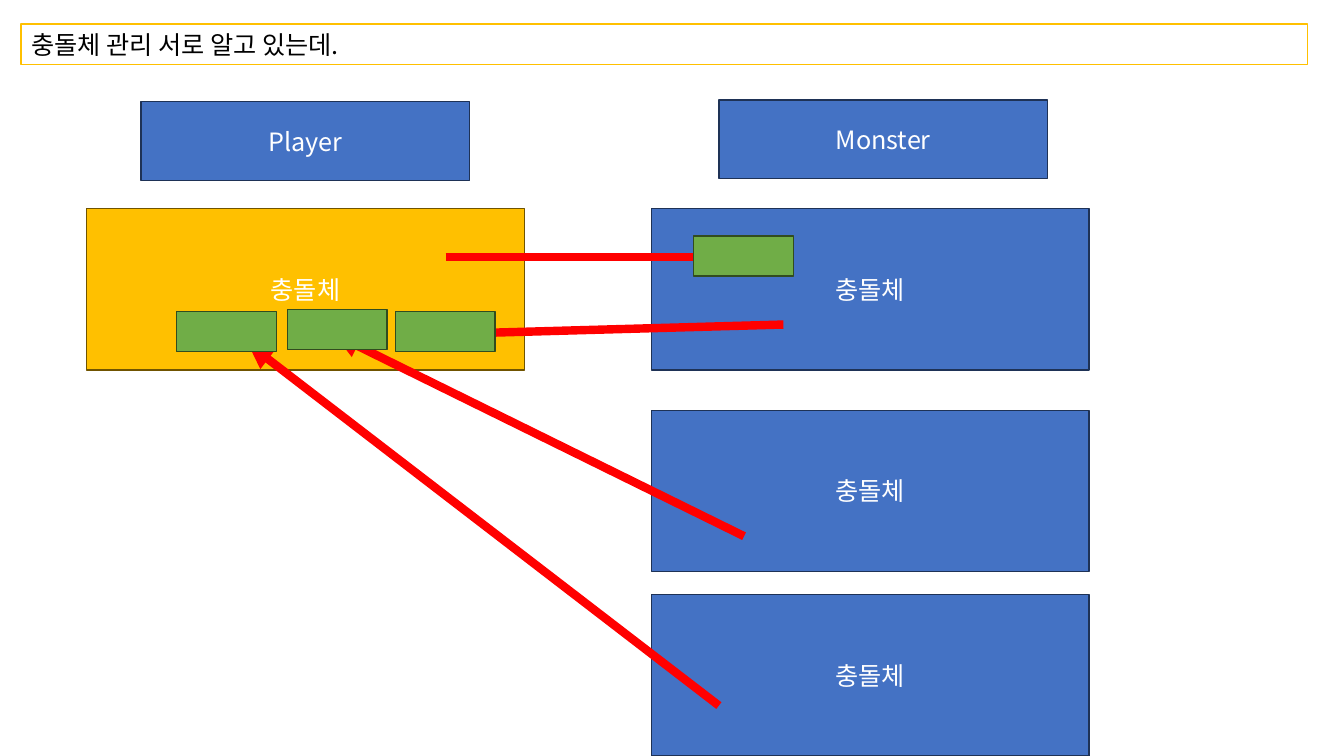
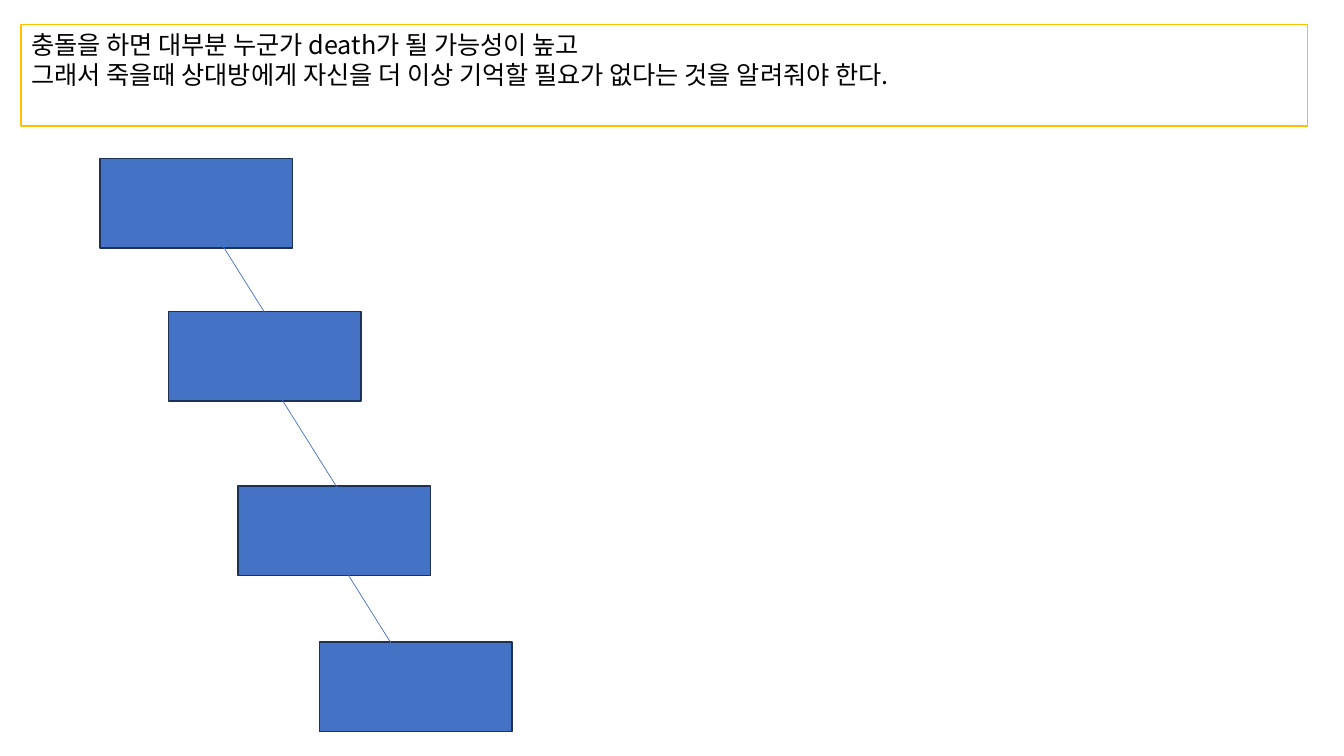
"""Builds two slides on how colliding objects keep track of each other."""
import pptx
import pptx.dml.color
import pptx.enum.shapes
import pptx.enum.text
import pptx.oxml.ns
import pptx.util
from lxml import etree

Inches = pptx.util.Inches
Pt = pptx.util.Pt
RGBColor = pptx.dml.color.RGBColor
PP_ALIGN = pptx.enum.text.PP_ALIGN
MSO_ANCHOR = pptx.enum.text.MSO_ANCHOR
qn = pptx.oxml.ns.qn

FONT = "Noto Sans CJK KR"
WHITE = RGBColor(0xFF, 0xFF, 0xFF)
BLACK = RGBColor(0x00, 0x00, 0x00)
RED = RGBColor(0xFF, 0x00, 0x00)
BLUE = RGBColor(0x44, 0x72, 0xC4)
NAVY = RGBColor(0x1E, 0x32, 0x56)
GOLD = RGBColor(0xFF, 0xC0, 0x00)
BROWN = RGBColor(0x70, 0x54, 0x00)
GREEN = RGBColor(0x70, 0xAD, 0x47)
DARK_GREEN = RGBColor(0x31, 0x4C, 0x1F)

BLUE_STYLE = (BLUE, NAVY, WHITE, PP_ALIGN.CENTER, MSO_ANCHOR.MIDDLE)
GOLD_STYLE = (GOLD, BROWN, WHITE, PP_ALIGN.CENTER, MSO_ANCHOR.MIDDLE)
GREEN_STYLE = (GREEN, DARK_GREEN, WHITE, PP_ALIGN.CENTER, MSO_ANCHOR.MIDDLE)
TITLE_STYLE = (WHITE, GOLD, BLACK, PP_ALIGN.LEFT, MSO_ANCHOR.TOP)

COLLIDER_SIZE = (4.34, 1.6)
HEADING_SIZE = (3.26, 0.78)
MARKER_SIZE = (0.99, 0.4)
NODE_SIZE = (1.91, 0.89)


def add_box(page, position, size, style, text=""):
    fill, outline, font_color, alignment, anchor = style
    box = page.shapes.add_shape(
        pptx.enum.shapes.MSO_SHAPE.RECTANGLE, *map(Inches, position + size))
    box.shadow.inherit = False
    box.fill.solid()
    box.fill.fore_color.rgb = fill
    box.line.color.rgb = outline
    box.line.width = Pt(1)
    if text:
        box.text_frame.text = text
        box.text_frame.word_wrap = True
        box.text_frame.vertical_anchor = anchor
        for para in box.text_frame.paragraphs:
            para.alignment = alignment
            for span in para.runs:
                span.font.size = Pt(18)
                span.font.name = FONT
                span.font.color.rgb = font_color
                east_asian = etree.SubElement(span.font._element, qn("a:ea"))
                east_asian.set("typeface", FONT)


def add_arrow(page, start, end, color, width):
    arrow = page.shapes.add_connector(
        pptx.enum.shapes.MSO_CONNECTOR.STRAIGHT, *map(Inches, start + end))
    arrow.line.color.rgb = color
    arrow.line.width = Pt(width)
    etree.SubElement(arrow.line._get_or_add_ln(), qn("a:tailEnd")).set("type", "triangle")
    etree.SubElement(arrow._element.spPr, qn("a:effectLst"))


deck = pptx.Presentation()
deck.slide_width = Inches(13.33)
deck.slide_height = Inches(7.5)

titles = [
    ("충돌체 관리 서로 알고 있는데.", 0.4),
    ("충돌을 하면 대부분 누군가 death가 될 가능성이 높고\n"
     "그래서 죽을때 상대방에게 자신을 더 이상 기억할 필요가 없다는 것을 알려줘야 한다.", 1.01),
]
pages = []
for title, height in titles:
    page = deck.slides.add_slide(deck.slide_layouts[6])
    add_box(page, (0.21, 0.24), (12.76, height), TITLE_STYLE, title)
    pages.append(page)
collider_page, chain_page = pages

add_box(collider_page, (1.4, 1.01), HEADING_SIZE, BLUE_STYLE, "Player")
add_box(collider_page, (7.13, 0.99), HEADING_SIZE, BLUE_STYLE, "Monster")
add_box(collider_page, (0.86, 2.07), COLLIDER_SIZE, GOLD_STYLE, "충돌체")
for top in (2.07, 4.07, 5.9):
    add_box(collider_page, (6.46, top), COLLIDER_SIZE, BLUE_STYLE, "충돌체")

references = [
    ((7.77, 3.22), (4.19, 3.32)),
    ((7.38, 5.32), (3.32, 3.32)),
    ((7.13, 7), (2.46, 3.41)),
    ((4.42, 2.55), (7.54, 2.55)),
]
for start, end in references:
    add_arrow(collider_page, start, end, RED, 6)
for marker in ((3.92, 3.09), (2.85, 3.07), (1.75, 3.09), (6.88, 2.34)):
    add_box(collider_page, marker, MARKER_SIZE, GREEN_STYLE)

for node in ((0.99, 1.57), (1.67, 3.09), (2.36, 4.82), (3.17, 6.37)):
    add_box(chain_page, node, NODE_SIZE, BLUE_STYLE)
for left, top in ((2.06, 2.2), (2.75, 3.89), (3.32, 5.49)):
    add_arrow(chain_page, (left, top), (left + 0.84, top + 1.34), BLUE, 0.5)

deck.save("out.pptx")
